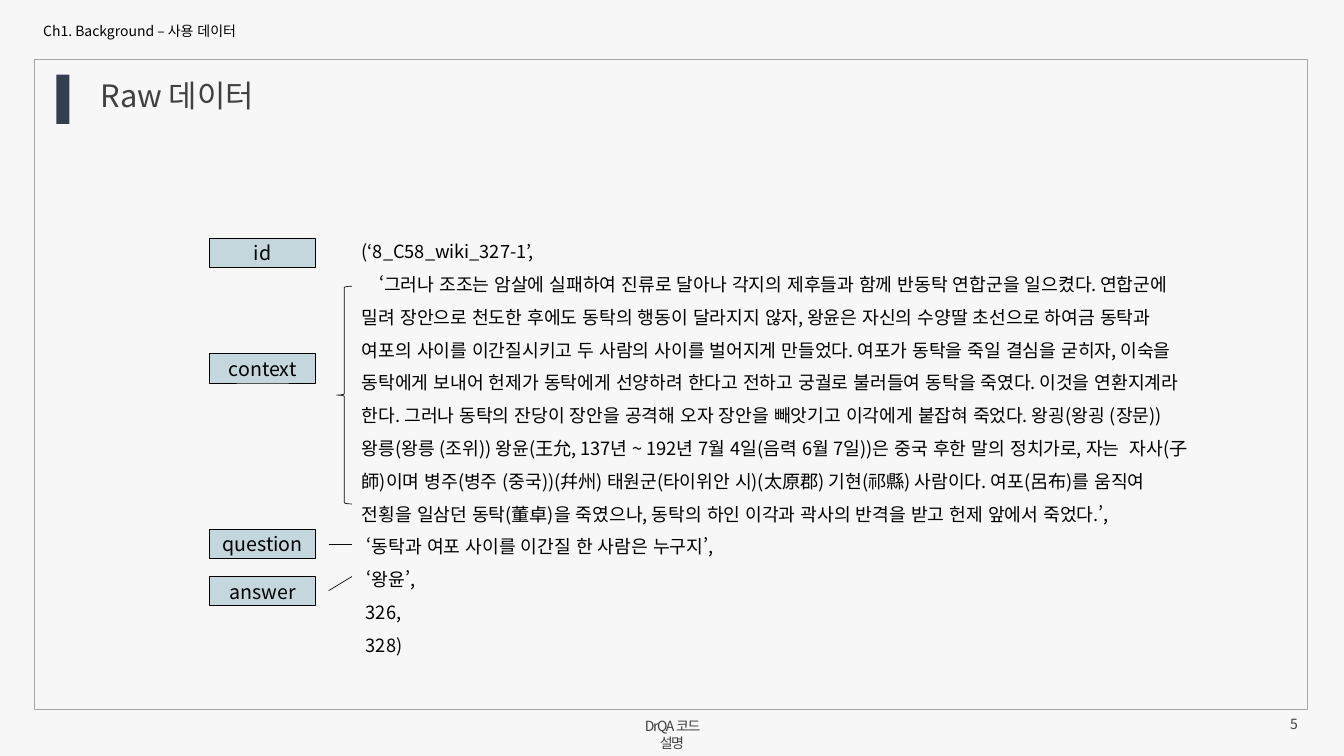
from pptx import Presentation
from pptx.dml.color import RGBColor
from pptx.enum.lang import MSO_LANGUAGE_ID as Language
from pptx.enum.shapes import MSO_CONNECTOR as Connector, MSO_SHAPE as Shape
from pptx.enum.text import MSO_ANCHOR as Anchor, PP_ALIGN as Align
from pptx.oxml.ns import qn
from pptx.util import Inches, Pt
from lxml.etree import SubElement

FONT = "Noto Sans CJK KR"
WIDTH, HEIGHT = 13.33, 7.5
BLACK, GREY, INK = "000000", "404040", "0D0D0D"
CHAPTER = "Ch1. Background – 사용 데이터"
TITLE = "Raw 데이터"
FOOTER = "DrQA 코드 설명"
PAGE = "5"
RECORD = [
    "(‘8_C58_wiki_327-1’,",
    " ‘그러나 조조는 암살에 실패하여 진류로 달아나 각지의 제후들과 함께 반동탁 연합군을 일으켰다. "
    "연합군에 밀려 장안으로 천도한 후에도 동탁의 행동이 달라지지 않자, 왕윤은 자신의 수양딸 초선으로 "
    "하여금 동탁과 여포의 사이를 이간질시키고 두 사람의 사이를 벌어지게 만들었다. 여포가 동탁을 죽일 "
    "결심을 굳히자, 이숙을 동탁에게 보내어 헌제가 동탁에게 선양하려 한다고 전하고 궁궐로 불러들여 "
    "동탁을 죽였다. 이것을 연환지계라 한다. 그러나 동탁의 잔당이 장안을 공격해 오자 장안을 빼앗기고 "
    "이각에게 붙잡혀 죽었다. 왕굉(왕굉 (장문)) 왕릉(왕릉 (조위)) 왕윤(王允, 137년 ~ 192년 7월 4일"
    "(음력 6월 7일))은 중국 후한 말의 정치가로, 자는  자사(子師)이며 병주(병주 (중국))(幷州) "
    "태원군(타이위안 시)(太原郡) 기현(祁縣) 사람이다. 여포(呂布)를 움직여 전횡을 일삼던 동탁(董卓)을 "
    "죽였으나, 동탁의 하인 이각과 곽사의 반격을 받고 헌제 앞에서 죽었다.’,",
    " ‘동탁과 여포 사이를 이간질 한 사람은 누구지’,",
    " ‘왕윤’,",
    " 326,",
    " 328)",
]
CONTEXT_LINE, CONTEXT_INDENT = 1, 0.12
LABEL_LEFT, LABEL_WIDTH, LABEL_HEIGHT = 2.08, 1.05, 0.29
LABEL_TOPS = {"id": 2.36, "context": 3.51, "question": 5.25, "answer": 5.72}
RECORD_LEFT = 3.49
POINTER_LEFT = 3.26
POINTERS = {"question": (5.4, 5.4), "answer": (5.86, 5.72)}


def color(value):
    return RGBColor.from_string(value)


def write(shape, lines, size, ink=BLACK, align=Align.LEFT, anchor=Anchor.TOP,
          spacing=None, tracking=None):
    frame = shape.text_frame
    frame.word_wrap = True
    frame.vertical_anchor = anchor
    for index, line in enumerate(lines):
        paragraph = frame.paragraphs[0] if index == 0 else frame.add_paragraph()
        paragraph.alignment = align
        paragraph.line_spacing = spacing
        run = paragraph.add_run()
        run.text = line
        run.font.name, run.font.size = FONT, Pt(size)
        run.font.language_id = Language.KOREAN
        run.font.color.rgb = color(ink)
        properties = run.font._element
        SubElement(properties, qn("a:ea")).set("typeface", FONT)
        properties.set("kern", "0")
        if tracking is not None:
            properties.set("spc", str(tracking * 100))
    return frame


def add_text(slide, box, lines, size, **style):
    return write(slide.shapes.add_textbox(*map(Inches, box)), lines, size, **style)


def add_box(slide, kind, box, fill=None, line=None):
    shape = slide.shapes.add_shape(kind, *map(Inches, box))
    shape.shadow.inherit = False
    if fill:
        shape.fill.solid()
        shape.fill.fore_color.rgb = color(fill)
    else:
        shape.fill.background()
    if line:
        shape.line.color.rgb = color(line)
        shape.line.width = Pt(0.5)
    else:
        shape.line.fill.background()
    return shape


def add_pointer(slide, start, end):
    pointer = slide.shapes.add_connector(Connector.STRAIGHT, *map(Inches, start + end))
    pointer.line.color.rgb = color(INK)
    pointer.line.width = Pt(0.5)
    SubElement(pointer._element.spPr, qn("a:effectLst"))


def main():
    """Build the raw data slide and save it."""
    presentation = Presentation()
    presentation.slide_width, presentation.slide_height = Inches(WIDTH), Inches(HEIGHT)
    slide = presentation.slides.add_slide(presentation.slide_layouts[6])

    add_box(slide, Shape.RECTANGLE, (0, 0, WIDTH, HEIGHT), fill="F7F7F7")
    add_box(slide, Shape.RECTANGLE, (0.34, 0.59, 12.63, 6.45), line="A6A6A6")
    add_box(slide, Shape.RECTANGLE, (0.56, 0.74, 0.13, 0.49), fill="333F50")

    footer = add_text(slide, (6.2, 7.08, 0.93, 0.24), [FOOTER], 10, ink=GREY,
                      align=Align.CENTER, tracking=-1)
    footer.margin_left = footer.margin_right = Inches(0.07)
    footer.margin_top = footer.margin_bottom = Inches(0.04)
    add_text(slide, (0.9, 0.75, 11.82, 0.47), [TITLE], 22, ink=GREY, spacing=0.9)
    add_text(slide, (0.33, 0.19, 5.76, 0.26), [CHAPTER], 10, spacing=0.9)
    add_text(slide, (12.06, 7.05, 0.91, 0.26), [PAGE], 10, ink=GREY,
             align=Align.RIGHT, anchor=Anchor.MIDDLE)
    record = add_text(slide, (RECORD_LEFT, 2.23, 8.45, 4.33), RECORD, 13, spacing=1.5)
    context = record.paragraphs[CONTEXT_LINE]._p.get_or_add_pPr()
    context.set("marL", "0")
    context.set("indent", str(Inches(CONTEXT_INDENT)))

    for label, top in LABEL_TOPS.items():
        box = (LABEL_LEFT, top, LABEL_WIDTH, LABEL_HEIGHT)
        shape = add_box(slide, Shape.RECTANGLE, box, fill="C3D7DC", line=BLACK)
        write(shape, [label], 14, align=Align.CENTER, anchor=Anchor.MIDDLE)

    add_box(slide, Shape.LEFT_BRACE, (3.34, 2.84, 0.15, 2.16), line=INK)
    for start, end in POINTERS.values():
        add_pointer(slide, (POINTER_LEFT, start), (RECORD_LEFT, end))

    presentation.save("out.pptx")


if __name__ == "__main__":
    main()
